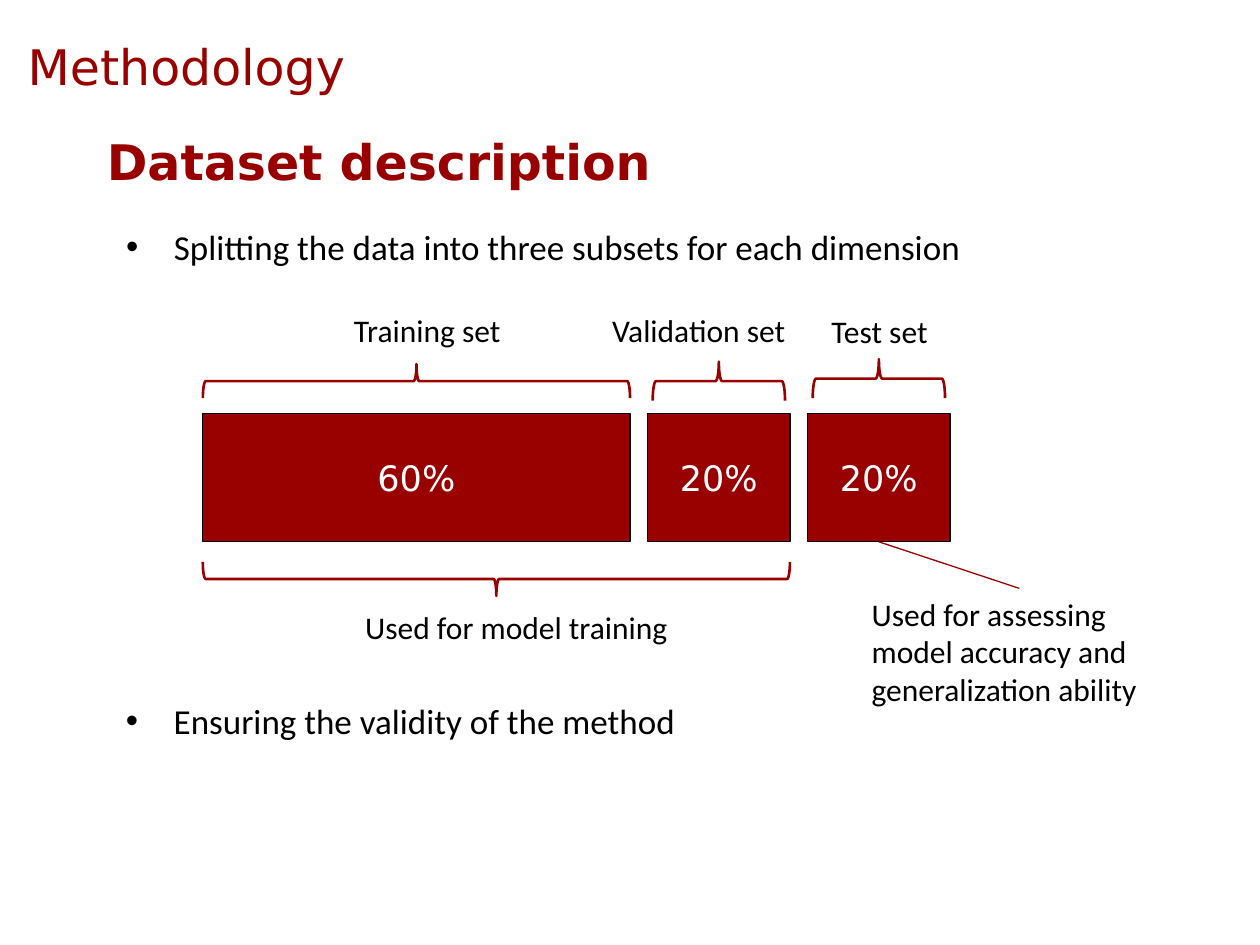
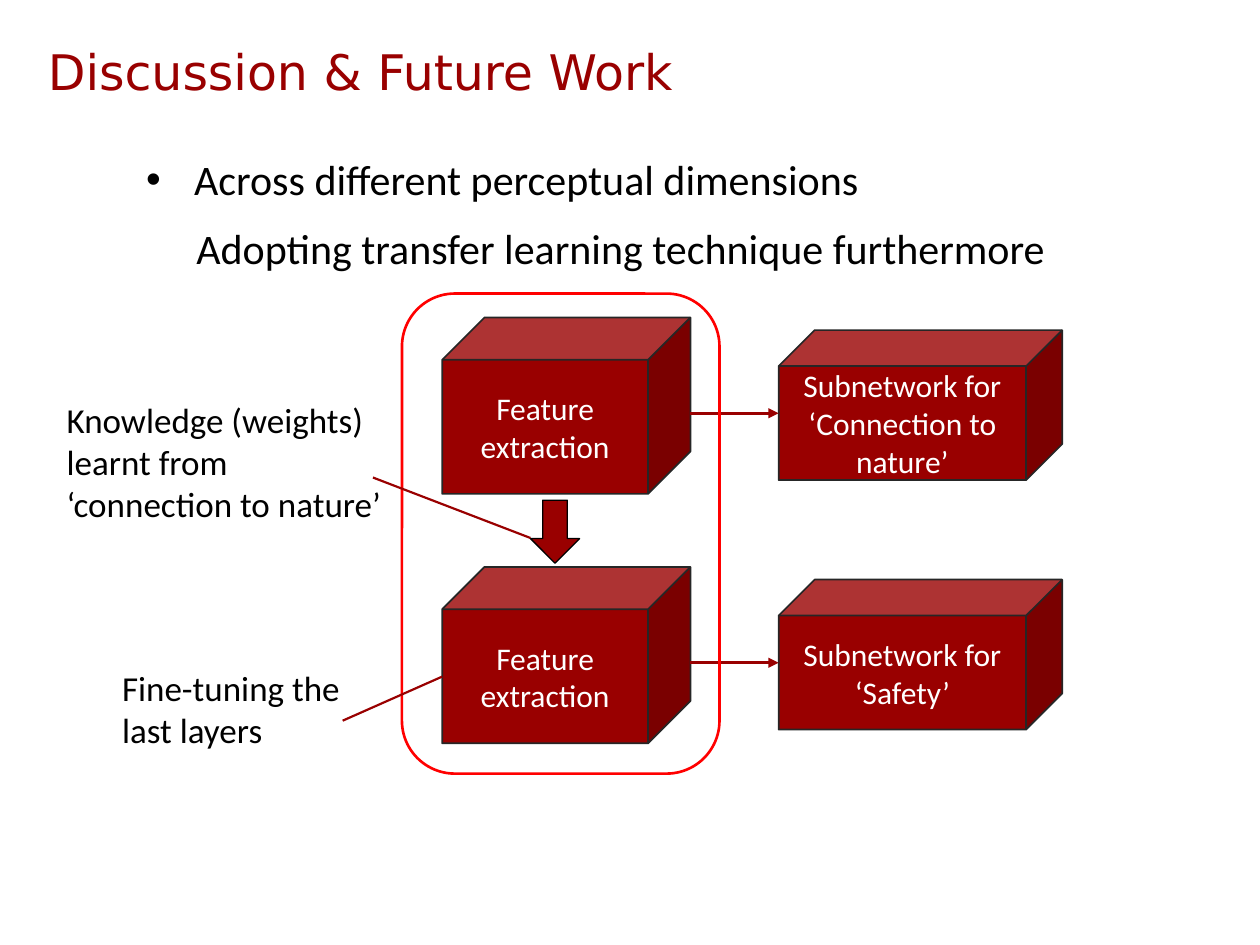
from lxml import etree
from pptx import Presentation
from pptx import util as u
from pptx.dml.color import RGBColor
from pptx.enum import shapes, text
from pptx.oxml.ns import qn

RED, BLACK, WHITE, CHARCOAL, BRIGHT_RED = "990000", "000000", "FFFFFF", "262626", "FF0000"
TITLE_FONT, BODY_FONT = "DejaVu Sans", "Calibri"
CENTER, MIDDLE = text.PP_ALIGN.CENTER, text.MSO_ANCHOR.MIDDLE
SHAPE = shapes.MSO_SHAPE
TITLE_FORMAT = dict(size=28, font=TITLE_FONT, color=RED, anchor=MIDDLE)

# Slide 1: name, share in percent, label left, label top, brace inset, brace top, brace depth
SUBSETS = [
    ("Training set", 60, 2.71, 2.42, 0, 2.89, 0.27),
    ("Validation set", 20, 4.76, 2.42, 0.04, 2.87, 0.31),
    ("Test set", 20, 6.5, 2.43, 0.04, 2.85, 0.31),
]
BAR_LEFT, BAR_TOP, BAR_HEIGHT, BAR_GAP = 1.61, 3.28, 1.02, 0.14
FULL_WIDTH = 5.65
TRAINING_NOTE = "Used for model training"
TEST_NOTE = "Used for assessing model accuracy and generalization ability"

# Slide 2: one network a row
SUBNETWORKS = ["Subnetwork for\n‘Connection to nature’", "Subnetwork for\n‘Safety’"]
ROW_STEP = 1.98
FEATURE_BOX = (3.51, 2.52, 1.97, 1.4)
SUBNETWORK_BOX = (6.18, 2.62, 2.25, 1.19)
ARROW_TOP = 3.28
# Text, box, pointer start, pointer end
REMARKS = [
    ("Knowledge (weights) learnt from\n‘connection to nature’",
     (0.43, 3.11, 2.92, 1.11), (4.21, 4.27), (2.96, 3.79)),
    ("Fine-tuning the last layers",
     (0.87, 5.24, 2.21, 0.77), (2.72, 5.72), (3.51, 5.37)),
]


def rgb(value):
    return RGBColor.from_string(value)


def inches(values):
    return [u.Inches(value) for value in values]


def place(shape, box):
    shape.left, shape.top, shape.width, shape.height = inches(box)


def add_bullet(para):
    props = para._p.get_or_add_pPr()
    props.set("marL", str(u.Inches(0.38)))
    props.set("indent", str(-u.Inches(0.38)))
    etree.SubElement(props, qn("a:buFont")).set("typeface", "Arial")
    etree.SubElement(props, qn("a:buChar")).set("char", "•")


def write(shape, words, size=18, font=BODY_FONT, color=BLACK, bold=False,
          align=text.PP_ALIGN.LEFT, anchor=text.MSO_ANCHOR.TOP, bullet=False):
    """Fill a shape with text, one paragraph for each line."""
    frame = shape.text_frame
    frame.word_wrap = True
    frame.auto_size = text.MSO_AUTO_SIZE.NONE
    frame.vertical_anchor = anchor
    for number, line in enumerate(words.split("\n")):
        para = frame.add_paragraph() if number else frame.paragraphs[0]
        para.alignment = align
        para.space_before = u.Pt(0)
        if bullet:
            add_bullet(para)
        span = para.add_run()
        span.text = line
        span.font.size = u.Pt(size)
        span.font.name = font
        span.font.bold = bold
        span.font.color.rgb = rgb(color)


def add_text(page, words, box, **style):
    shape = page.shapes.add_textbox(*inches(box))
    write(shape, words, **style)
    return shape


def add_figure(page, kind, box, fill=None, line=BLACK, weight=0.75):
    figure = page.shapes.add_shape(kind, *inches(box))
    figure.shadow.inherit = False
    if fill:
        figure.fill.solid()
        figure.fill.fore_color.rgb = rgb(fill)
    else:
        figure.fill.background()
    figure.line.color.rgb = rgb(line)
    figure.line.width = u.Pt(weight)
    return figure


def add_brace(page, left, top, width, depth, rotation):
    """Turn a left brace so that it spans the given width."""
    shift = (width - depth) / 2
    brace = add_figure(page, SHAPE.LEFT_BRACE, (left + shift, top - shift, depth, width),
                       line=RED, weight=1.5)
    brace.rotation = rotation


def add_cube(page, words, box):
    cube = add_figure(page, SHAPE.CUBE, box, RED, CHARCOAL, 1)
    cube.adjustments[0] = 0.24
    write(cube, words, color=WHITE, align=CENTER, anchor=MIDDLE)


def add_line(page, start, end, weight, arrow=False):
    line = page.shapes.add_connector(shapes.MSO_CONNECTOR.STRAIGHT, *inches(start + end))
    line.line.color.rgb = rgb(RED)
    line.line.width = u.Pt(weight)
    if arrow:
        etree.SubElement(line.line._get_or_add_ln(), qn("a:tailEnd")).set("type", "triangle")
    etree.SubElement(line._element.spPr, qn("a:effectLst"))
    return line


def add_page(deck, title, title_box, item, item_box, item_size):
    page = deck.slides.add_slide(deck.slide_layouts[1])
    heading, body = page.shapes.title, page.placeholders[1]
    place(heading, title_box)
    write(heading, title, **TITLE_FORMAT)
    place(body, item_box)
    write(body, item, size=item_size, bullet=True)
    return page


def build_methodology(deck):
    page = add_page(deck, "Methodology", (0.12, 0.13, 2.76, 0.79),
                    "Splitting the data into three subsets for each dimension",
                    (0.9, 1.74, 8.5, 0.59), 20)
    add_text(page, "Dataset description", (0.75, 0.88, 8.19, 0.79), bold=True, **TITLE_FORMAT)

    left = BAR_LEFT
    for name, share, label_left, label_top, inset, brace_top, depth in SUBSETS:
        width = FULL_WIDTH * share / 100
        bar = add_figure(page, SHAPE.RECTANGLE, (left, BAR_TOP, width, BAR_HEIGHT), RED)
        write(bar, f"{share}%", size=20, font=TITLE_FONT, color=WHITE,
              align=CENTER, anchor=MIDDLE)
        add_brace(page, left + inset, brace_top, width - 2 * inset, depth, 90)
        add_text(page, name, (label_left, label_top, 2.29, 0.4))
        left += width + BAR_GAP

    add_brace(page, BAR_LEFT, 4.46, 4.66, 0.27, 270)
    add_text(page, TRAINING_NOTE, (2.8, 4.78, 2.68, 0.4))
    test_note = add_text(page, TEST_NOTE, (6.82, 4.67, 2.54, 1.01))
    pointer = add_line(page, (6.99, 4.3), (8.09, 4.67), 0.75)
    pointer.begin_connect(bar, 2)
    pointer.end_connect(test_note, 0)
    add_text(page, "Ensuring the validity of the method", (0.9, 5.5, 4.58, 0.59),
             size=20, bullet=True)


def build_future_work(deck):
    page = add_page(deck, "Discussion & Future Work", (0.28, 0.13, 8.19, 0.87),
                    "Across different perceptual dimensions", (1.06, 1.17, 7.01, 0.5), 24)
    add_text(page, "Adopting transfer learning technique furthermore",
             (1.46, 1.72, 7.01, 0.5), size=24)

    for row, subnetwork in enumerate(SUBNETWORKS):
        drop = row * ROW_STEP
        for words, (left, top, width, height) in (("Feature extraction", FEATURE_BOX),
                                                  (subnetwork, SUBNETWORK_BOX)):
            add_cube(page, words, (left, top + drop, width, height))
        arrow_y = ARROW_TOP + drop
        add_line(page, (FEATURE_BOX[0] + FEATURE_BOX[2], arrow_y),
                 (SUBNETWORK_BOX[0], arrow_y), 1.5, arrow=True)

    add_figure(page, SHAPE.DOWN_ARROW, (4.21, 3.97, 0.39, 0.5), RED)
    add_figure(page, SHAPE.ROUNDED_RECTANGLE, (3.19, 2.33, 2.52, 3.81),
               line=BRIGHT_RED, weight=1.5)
    for words, box, start, end in REMARKS:
        add_text(page, words, box, size=20)
        add_line(page, start, end, 1.25)


def main():
    deck = Presentation()
    deck.slide_width, deck.slide_height = inches((10, 7.5))
    build_methodology(deck)
    build_future_work(deck)
    deck.save("out.pptx")


if __name__ == "__main__":
    main()
